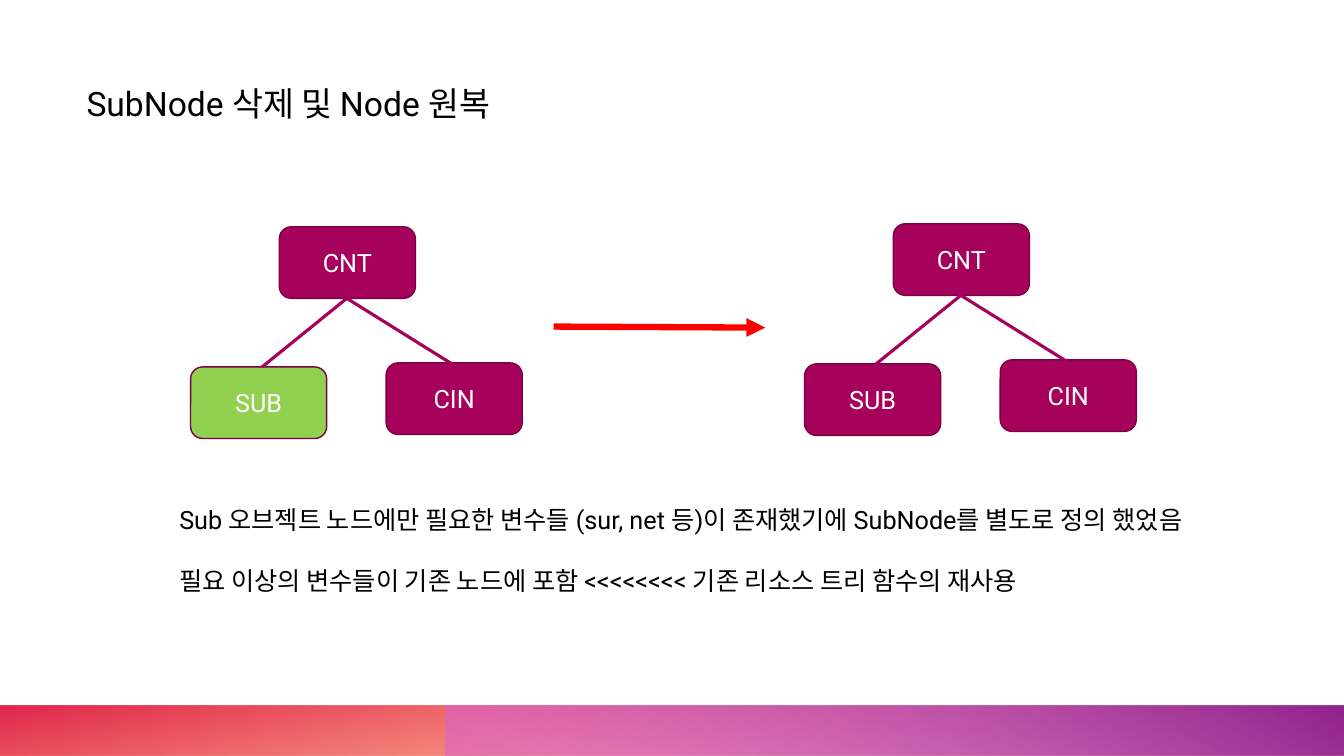
from lxml import etree
from pptx import Presentation
from pptx.dml.color import RGBColor
from pptx.enum import shapes, text
from pptx.oxml import ns
from pptx.util import Inches, Pt

FONT = "Roboto"
BLACK = RGBColor(0x00, 0x00, 0x00)
WHITE = RGBColor(0xFF, 0xFF, 0xFF)
MAGENTA = RGBColor(0xA6, 0x02, 0x5C)
DARK_MAGENTA = RGBColor(0x7B, 0x01, 0x44)
GREEN = RGBColor(0x92, 0xD0, 0x50)
RED = RGBColor(0xFF, 0x00, 0x00)
BAND_ORANGE = RGBColor(0xFE, 0x4A, 0x00)
BAND_RED = RGBColor(0xDA, 0x00, 0x2F)
BAND_PINK = RGBColor(0xD8, 0x61, 0xD4)
BAND_PURPLE = RGBColor(0x92, 0x24, 0x8E)

NODE_WIDTH, NODE_HEIGHT = 1.35, 0.71
# Offsets from the top left corner of the CNT node
SUB_OFFSET = (-0.88, 1.39)
CIN_OFFSET = (1.06, 1.35)
BRANCH_START = (0.67, NODE_HEIGHT)
BRANCH_ENDS = [(-0.17, 1.39), (1.76, 1.39)]


def write_text(frame, *lines, size=18, color=BLACK, align=None, gap=0):
    for index, line in enumerate(lines):
        paragraph = frame.add_paragraph() if index else frame.paragraphs[0]
        paragraph.alignment = align
        if index and gap:
            paragraph.space_before = Pt(gap)
        run = paragraph.add_run()
        run.text = line
        run.font.name = FONT
        run.font.size = Pt(size)
        run.font.color.rgb = color


def add_text_box(slide, left, top, width, height, *lines, **text_format):
    box = slide.shapes.add_textbox(
        Inches(left), Inches(top), Inches(width), Inches(height))
    frame = box.text_frame
    frame.word_wrap = True
    frame.auto_size = text.MSO_AUTO_SIZE.SHAPE_TO_FIT_TEXT
    write_text(frame, *lines, **text_format)


def add_box(slide, kind, left, top, width, height):
    shape = slide.shapes.add_shape(
        kind, Inches(left), Inches(top), Inches(width), Inches(height))
    shape.shadow.inherit = False
    return shape


def add_band(slide, left, width, angle, stops, rotation=0):
    """Mirrored gradient strip; stops are (position, color, opacity) in percent."""
    band = add_box(slide, shapes.MSO_SHAPE.RECTANGLE, left, 7, width, 0.5)
    band.rotation = rotation
    band.line.fill.background()
    band.fill.gradient()
    band.fill.gradient_angle = 360 - angle
    for stop, (position, color, _) in zip(band.fill.gradient_stops, stops):
        stop.position = position / 100
        stop.color.rgb = color
    properties = band.element.spPr
    properties.find(ns.qn("a:xfrm")).set("flipH", "1")
    colors = properties.iter(ns.qn("a:srgbClr"))
    for color_element, (_, _, opacity) in zip(colors, stops):
        alpha = etree.SubElement(color_element, ns.qn("a:alpha"))
        alpha.set("val", str(opacity * 1000))


def add_node(slide, label, left, top, fill=MAGENTA):
    node = add_box(slide, shapes.MSO_SHAPE.ROUNDED_RECTANGLE,
                   left, top, NODE_WIDTH, NODE_HEIGHT)
    node.fill.solid()
    node.fill.fore_color.rgb = fill
    node.line.color.rgb = DARK_MAGENTA
    node.line.width = Pt(1)
    node.text_frame.vertical_anchor = text.MSO_ANCHOR.MIDDLE
    write_text(node.text_frame, label, color=WHITE, align=text.PP_ALIGN.CENTER)


def add_line(slide, start, end, color, width, arrow=False):
    points = [Inches(value) for value in (*start, *end)]
    line = slide.shapes.add_connector(shapes.MSO_CONNECTOR.STRAIGHT, *points)
    line.line.color.rgb = color
    line.line.width = Pt(width)
    properties = line.element.spPr
    if arrow:
        outline = properties.find(ns.qn("a:ln"))
        etree.SubElement(outline, ns.qn("a:tailEnd")).set("type", "triangle")
    etree.SubElement(properties, ns.qn("a:effectLst"))


def add_tree(slide, left, top, sub_fill=MAGENTA):
    def place(offset):
        return left + offset[0], top + offset[1]

    add_node(slide, "CNT", left, top)
    add_node(slide, "SUB", *place(SUB_OFFSET), fill=sub_fill)
    add_node(slide, "CIN", *place(CIN_OFFSET))
    for end in BRANCH_ENDS:
        add_line(slide, place(BRANCH_START), place(end), MAGENTA, 2.25)


def main():
    presentation = Presentation()
    presentation.slide_width = Inches(13.33)
    presentation.slide_height = Inches(7.5)
    slide = presentation.slides.add_slide(presentation.slide_layouts[6])

    # Footer bands
    add_band(slide, 0, 13.33, 100,
             [(14, BAND_ORANGE, 28), (100, BAND_RED, 85)], rotation=180)
    add_band(slide, 4.42, 8.91, 240,
             [(9, BAND_PINK, 55), (99, BAND_PURPLE, 100)])

    # Title and explanation
    add_text_box(slide, 0.76, 0.77, 6.12, 0.5,
                 "SubNode 삭제 및 Node 원복", size=24)
    add_text_box(
        slide, 1.68, 4.95, 10.83, 1.01,
        "Sub\u00a0오브젝트 노드에만 필요한 변수들 (sur, net 등)이 존재했기에 "
        "SubNode를\u00a0별도로 정의 했었음",
        "필요 이상의 변수들이 기존 노드에 포함 <<<<<<<< 기존 리소스 트리 함수의 재사용",
        gap=22)

    # Trees before and after the change
    add_tree(slide, 2.77, 2.25, sub_fill=GREEN)
    add_tree(slide, 8.86, 2.22)
    add_line(slide, (5.49, 3.24), (7.59, 3.25), RED, 4.5, arrow=True)

    presentation.save("out.pptx")


main()
